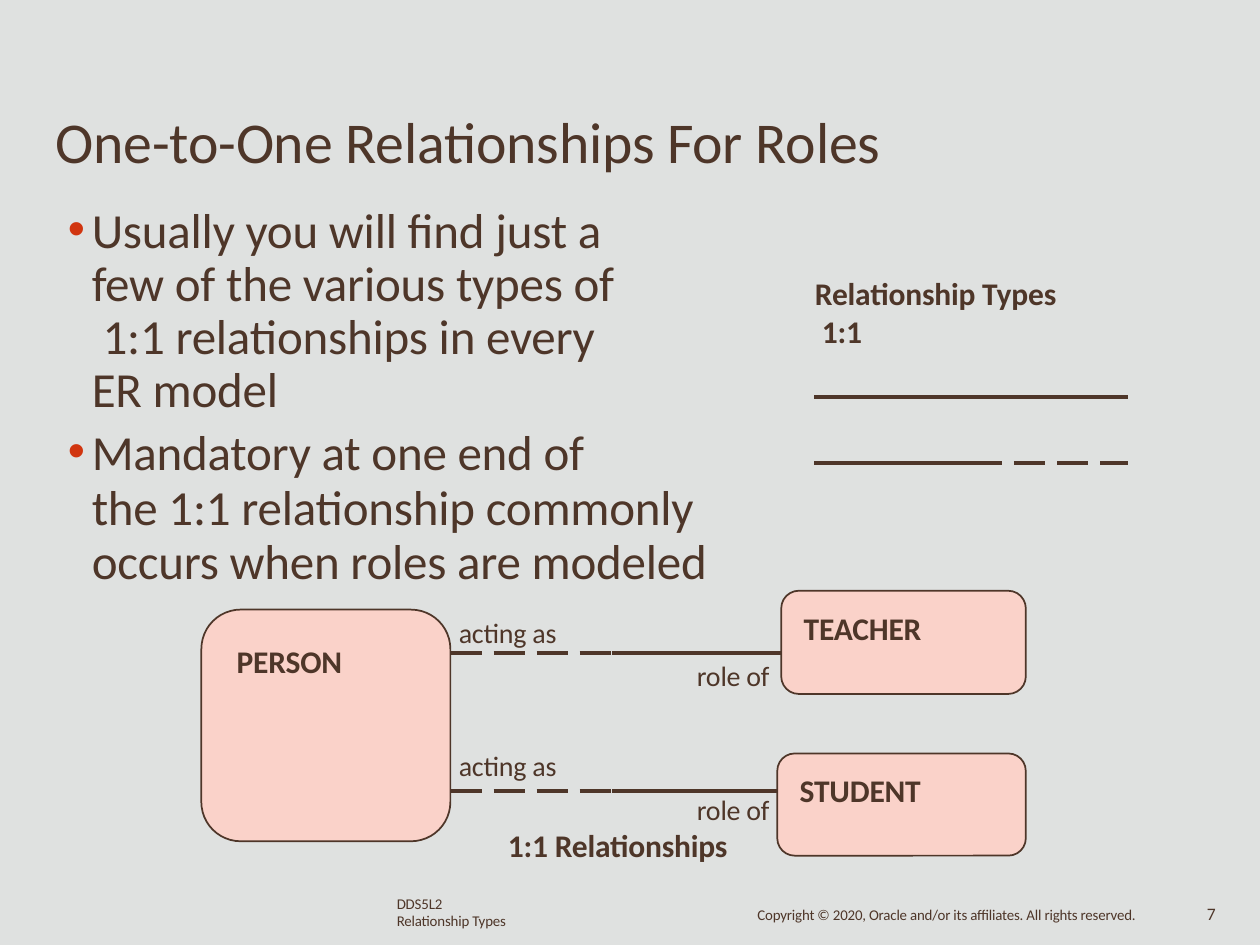
from lxml import etree
from pptx import Presentation
from pptx.dml.color import RGBColor
from pptx.enum.dml import MSO_LINE
from pptx.enum.shapes import MSO_CONNECTOR, MSO_SHAPE
from pptx.enum.text import MSO_ANCHOR, MSO_AUTO_SIZE, PP_ALIGN
from pptx.oxml.ns import qn
from pptx.util import Cm, Pt

BACKGROUND = RGBColor(0xDF, 0xE1, 0xE0)
BROWN = RGBColor(0x4E, 0x36, 0x29)
PINK = RGBColor(0xFA, 0xD2, 0xC9)
RED = RGBColor(0xD1, 0x35, 0x0F)

LONG_DASH = MSO_LINE.LONG_DASH
STRAIGHT = MSO_CONNECTOR.STRAIGHT
ROUNDED = MSO_SHAPE.ROUNDED_RECTANGLE
LEFT = PP_ALIGN.LEFT
TOP = MSO_ANCHOR.TOP
NO_FIT = MSO_AUTO_SIZE.NONE

BULLETS = [
    ("Usually you will find just a\vfew of the various types of\v"
     " 1:1 relationships in every\vER model", 30.3, 0),
    ("Mandatory at one end of\vthe 1:1 relationship commonly\v"
     "occurs when roles are modeled", 31.3, 4.5),
]


def place(shape, left, top, width, height):
    shape.left, shape.top = Cm(left), Cm(top)
    shape.width, shape.height = Cm(width), Cm(height)


def prepare_frame(shape, inset_left=0, inset_top=0):
    frame_format = {
        "margin_left": Cm(inset_left), "margin_top": Cm(inset_top),
        "margin_right": 0, "margin_bottom": 0, "word_wrap": True,
        "auto_size": NO_FIT, "vertical_anchor": TOP,
    }
    for name, value in frame_format.items():
        setattr(shape.text_frame, name, value)
    return shape.text_frame


def write(paragraph, text, size, bold=False, line_pt=None, before=0):
    paragraph.text = text
    paragraph_format = {"alignment": LEFT, "space_before": Pt(before)}
    if line_pt:
        paragraph_format["line_spacing"] = Pt(line_pt)
    for name, value in paragraph_format.items():
        setattr(paragraph, name, value)
    for run in paragraph.runs:
        for name, value in {"name": "Calibri", "size": Pt(size), "bold": bold}.items():
            setattr(run.font, name, value)
        run.font.color.rgb = BROWN
        run._r.get_or_add_rPr().set("spc", "-10")


def add_bullet(paragraph):
    properties = paragraph._p.get_or_add_pPr()
    properties.set("marL", str(Cm(0.5)))
    properties.set("indent", str(-Cm(0.48)))
    color = etree.SubElement(properties, qn("a:buClr"))
    etree.SubElement(color, qn("a:srgbClr"), val=str(RED))
    etree.SubElement(properties, qn("a:buChar"), char="•")


def add_label(slide, left, top, width, lines, size, bold=False, line_pt=None):
    label = slide.shapes.add_textbox(Cm(left), Cm(top), Cm(width), Cm(0.75 * len(lines)))
    frame = prepare_frame(label)
    for index, line in enumerate(lines):
        paragraph = frame.add_paragraph() if index else frame.paragraphs[0]
        write(paragraph, line, size, bold, line_pt)


def add_entity(slide, name, box, inset_left, inset_top):
    entity = slide.shapes.add_shape(ROUNDED, *(Cm(value) for value in box))
    entity.adjustments[0] = 0.17
    entity.shadow.inherit = False
    entity.fill.solid()
    entity.fill.fore_color.rgb = PINK
    entity.line.color.rgb = BROWN
    entity.line.width = Pt(1)
    frame = prepare_frame(entity, inset_left, inset_top)
    write(frame.paragraphs[0], name, 18, bold=True)


def add_line(slide, start, end, y, dashed=False):
    line = slide.shapes.add_connector(STRAIGHT, Cm(start), Cm(y), Cm(end), Cm(y))
    line.line.color.rgb = BROWN
    line.line.width = Pt(2.25)
    if dashed:
        line.line.dash_style = LONG_DASH
    etree.SubElement(line._element.spPr, qn("a:effectLst"))


def main():
    presentation = Presentation()
    presentation.slide_width, presentation.slide_height = Cm(25.4), Cm(19.05)
    slide = presentation.slides.add_slide(presentation.slide_layouts[1])
    slide.background.fill.solid()
    slide.background.fill.fore_color.rgb = BACKGROUND

    # Title and list
    title, body = slide.placeholders
    place(title, 1.12, 2.13, 20, 1.5)
    write(prepare_frame(title).paragraphs[0], "One-to-One Relationships For Roles", 33)
    place(body, 1.35, 4.14, 14.2, 7.7)
    body_frame = prepare_frame(body)
    for index, (text, line_pt, before) in enumerate(BULLETS):
        paragraph = body_frame.add_paragraph() if index else body_frame.paragraphs[0]
        add_bullet(paragraph)
        write(paragraph, text, 28, line_pt=line_pt, before=before)

    # Entities
    person_right, teacher_left, student_left = 9.08, 15.75, 15.67
    add_entity(slide, "PERSON", (4.06, 12.29, 5.02, 4.67), 0.48, 0.42)
    add_entity(slide, "TEACHER", (teacher_left, 11.91, 4.93, 2.08), 0.35, 0.26)
    add_entity(slide, "STUDENT", (student_left, 15.19, 5.01, 2.06), 0.35, 0.26)

    # Relationships: optional half dashed, mandatory half solid
    middle = 12.34
    for row, (end, y) in enumerate([(teacher_left, 13.16), (student_left, 15.95)]):
        add_line(slide, person_right, middle, y, dashed=True)
        add_line(slide, middle, end, y)
        add_label(slide, 9.25, 12.4 + 2.7 * row, 2.2, ["acting as"], 16)
        add_label(slide, 14.05, 13.27 + 2.7 * row, 1.6, ["role of"], 16)
    add_label(slide, 10.24, 16.66, 5.2, ["1:1 Relationships"], 18, bold=True)

    # Key to relationship types
    add_label(slide, 16.43, 5.52, 5.6, ["Relationship Types", " 1:1"], 18, bold=True)
    key_left, key_middle, key_right = 16.41, 19.57, 22.73
    add_line(slide, key_left, key_right, 8)
    add_line(slide, key_left, key_middle, 9.34)
    add_line(slide, key_middle, key_right, 9.34, dashed=True)

    # Footer
    add_label(slide, 8, 18.06, 3, ["DDS5L2", "Relationship Types"], 8.5, line_pt=9.7)
    add_label(slide, 15.27, 18.26, 8.4, [
        "Copyright © 2020, Oracle and/or its affiliates. All rights reserved."], 8.5)
    add_label(slide, 24.33, 18.21, 0.5, ["7"], 10)

    presentation.save("out.pptx")


if __name__ == "__main__":
    main()
